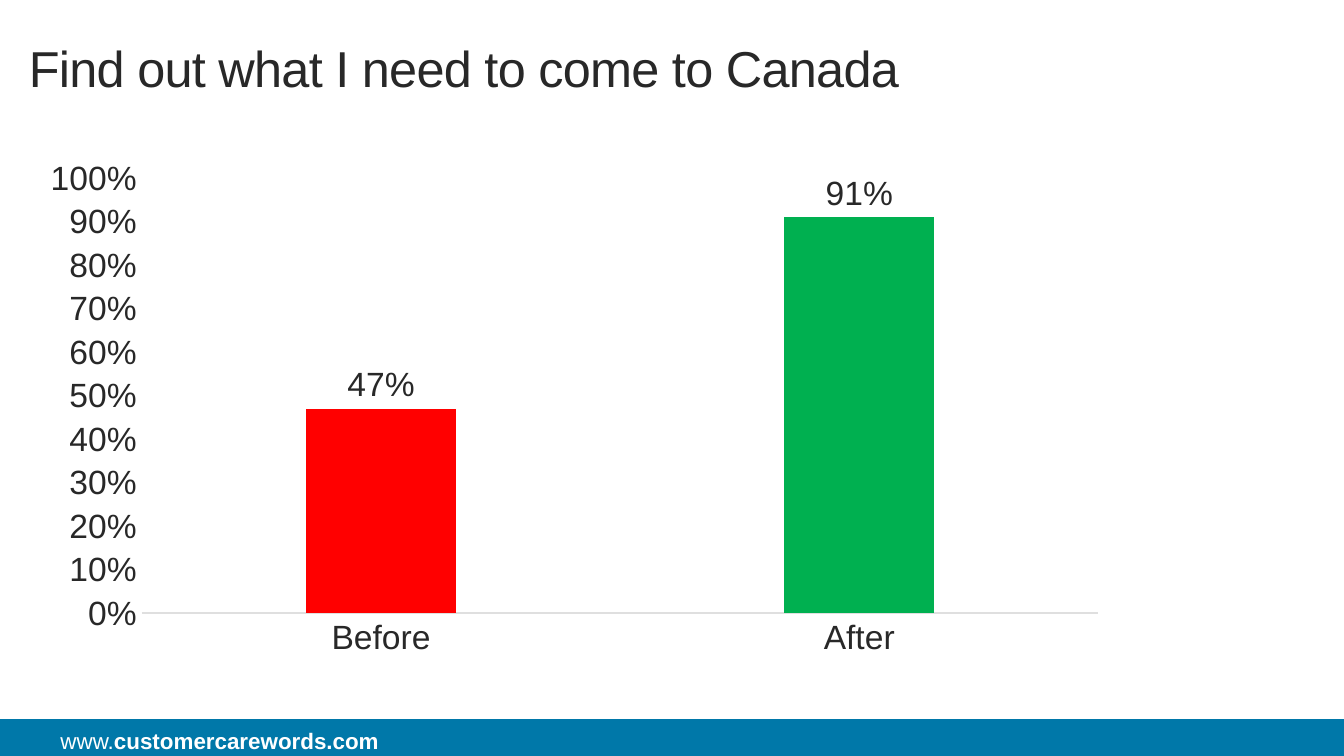
import pptx
import pptx.chart.data
import pptx.dml.color
import pptx.enum.chart
import pptx.enum.shapes
import pptx.enum.text
import pptx.util

COLUMNS = 100
ROWS = COLUMNS * 9 / 16
CELL = pptx.util.Inches(0.1)
INK, BLUE, WHITE, RULE = "282828", "0078A9", "FFFFFF", "DFDFDF"


def color(hex_code):
    return pptx.dml.color.RGBColor.from_string(hex_code)


class Deck:
    """Holds the typeface and the current slide; boxes are in grid columns and rows."""

    typeface = "Arial"

    def __init__(self):
        self.show = pptx.Presentation()
        self.show.slide_width = round(COLUMNS * CELL)
        self.show.slide_height = round(ROWS * CELL)
        self.slide = self.show.slides.add_slide(self.show.slide_layouts[6])

    def place(self, box):
        return [round(cells * CELL) for cells in box]

    def style(self, font, size, hex_code, bold=False):
        font.name = self.typeface
        font.size = pptx.util.Pt(size)
        font.bold = bold
        font.color.rgb = color(hex_code)

    def band(self, box, fill):
        bar = self.slide.shapes.add_shape(
            pptx.enum.shapes.MSO_SHAPE.RECTANGLE, *self.place(box))
        bar.shadow.inherit = False
        bar.fill.solid()
        bar.fill.fore_color.rgb = color(fill)
        bar.line.fill.background()

    def text(self, box, runs, size, hex_code, anchor="TOP", line_spacing=1.0, tracking=0):
        """Runs are (wording, bold) pairs; tracking is in hundredths of a point."""
        frame = self.slide.shapes.add_textbox(*self.place(box)).text_frame
        frame.word_wrap = True
        frame.margin_left = frame.margin_right = 0
        frame.margin_top = frame.margin_bottom = 0
        frame.vertical_anchor = pptx.enum.text.MSO_ANCHOR[anchor]
        line = frame.paragraphs[0]
        line.line_spacing = line_spacing
        for wording, bold in runs:
            run = line.add_run()
            run.text = wording
            self.style(run.font, size, hex_code, bold)
            if tracking:
                run.font._element.set("spc", str(tracking))

    def columns(self, box, name, results, size):
        """Results map each category to its (value, colour)."""
        data = pptx.chart.data.CategoryChartData(number_format="0%")
        data.categories = list(results)
        data.add_series(name, [value for value, _ in results.values()])
        chart = self.slide.shapes.add_chart(
            pptx.enum.chart.XL_CHART_TYPE.COLUMN_CLUSTERED,
            *self.place(box), data).chart
        chart.has_legend = False
        chart.has_title = False
        self.style(chart.font, 10, INK)

        for axis in (chart.category_axis, chart.value_axis):
            axis.has_major_gridlines = False
            axis.major_tick_mark = pptx.enum.chart.XL_TICK_MARK.NONE
            axis.minor_tick_mark = pptx.enum.chart.XL_TICK_MARK.NONE
            self.style(axis.tick_labels.font, size, INK)
        baseline = chart.category_axis.format.line
        baseline.color.rgb = color(RULE)
        baseline.width = pptx.util.Pt(0.75)
        scale = chart.value_axis
        scale.format.line.fill.background()
        scale.minimum_scale, scale.maximum_scale, scale.major_unit = 0, 1, 0.1
        scale.tick_labels.number_format = "0%"
        scale.tick_labels.number_format_is_linked = False

        plot = chart.plots[0]
        plot.vary_by_categories = False
        plot.gap_width, plot.overlap = 219, -27
        series = plot.series[0]
        series.format.fill.solid()
        series.format.fill.fore_color.rgb = color(BLUE)
        for index, (_, fill) in enumerate(results.values()):
            column = series.points[index].format.fill
            column.solid()
            column.fore_color.rgb = color(fill)
        labels = series.data_labels
        labels.show_value = True
        labels.position = pptx.enum.chart.XL_LABEL_POSITION.OUTSIDE_END
        labels.number_format = "0%"
        labels.number_format_is_linked = False
        self.style(labels.font, size, INK)


def main():
    deck = Deck()
    margin, content_width = 2.15, 81.2
    footer_top = 53.5
    deck.band((0, footer_top, COLUMNS, ROWS - footer_top), BLUE)
    deck.text((4.5, 54.1, 55.5, 2),
              [("www.", False), ("customercarewords.com", True)], 12, WHITE)
    deck.text((margin, 0, content_width, 7.3),
              [("Find out what I need to come to Canada", False)], 27, INK,
              anchor="BOTTOM", line_spacing=0.9, tracking=-40)
    deck.columns((margin, 11.1, content_width, 38.5), "Series 1",
                 {"Before": (0.47, "FF0000"), "After": (0.91, "00B050")}, 18)
    deck.show.save("out.pptx")


if __name__ == "__main__":
    main()
